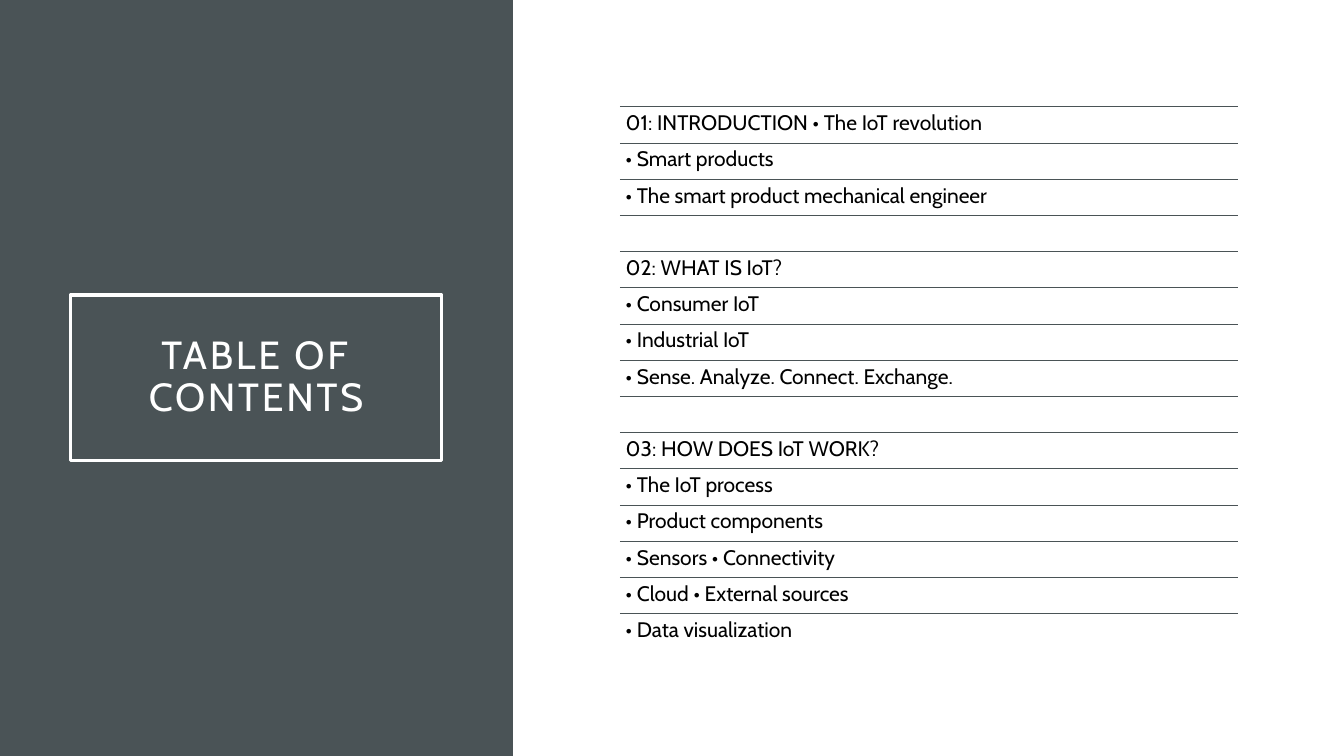
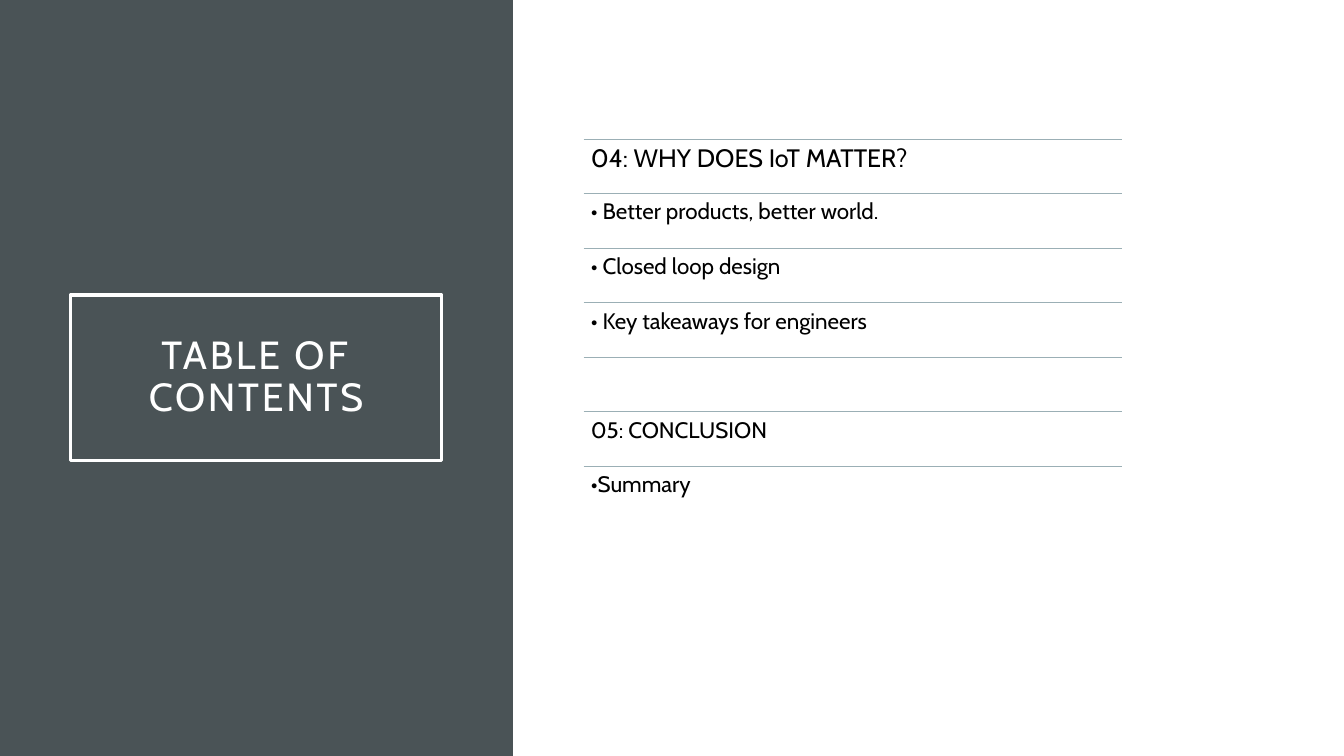
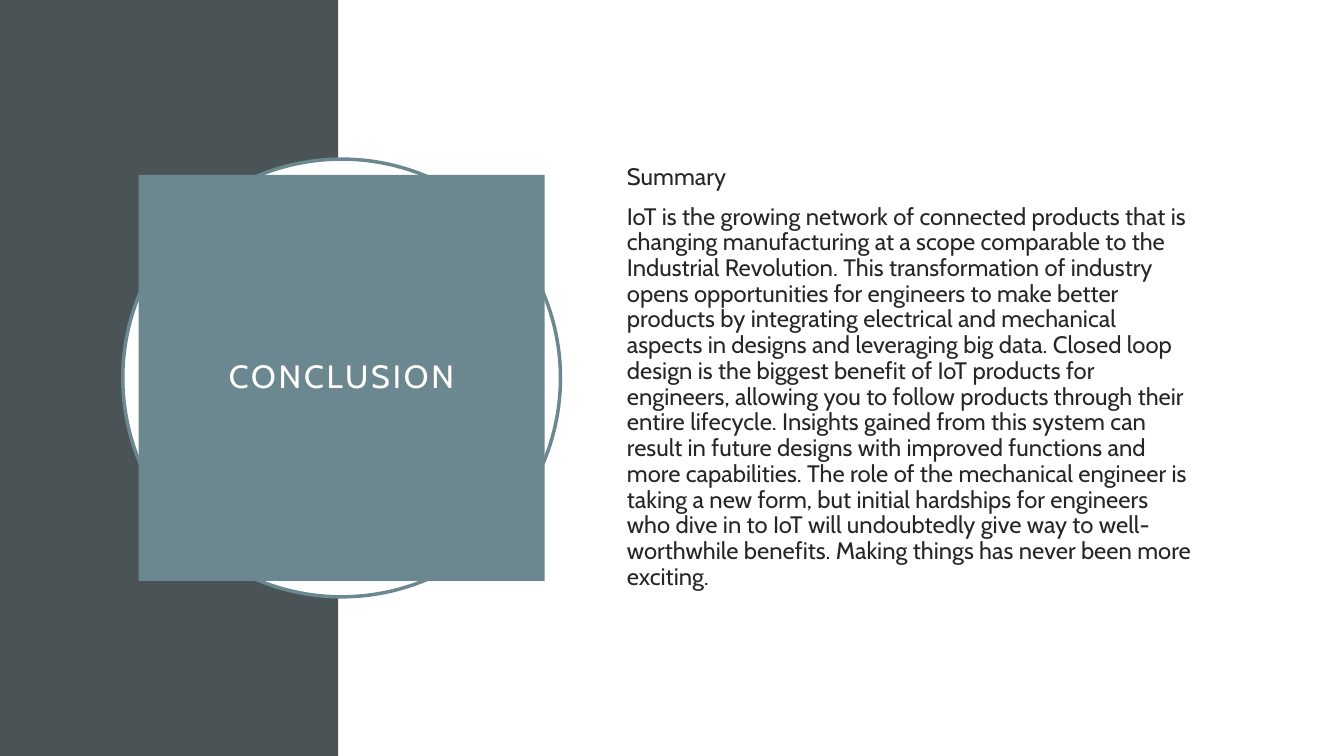
from lxml import etree
from pptx import Presentation
from pptx.dml.color import RGBColor
from pptx.enum.shapes import MSO_CONNECTOR, MSO_SHAPE
from pptx.enum.text import MSO_ANCHOR, PP_ALIGN
from pptx.oxml.ns import qn
from pptx.util import Cm, Pt

RECT, OVAL = MSO_SHAPE.RECTANGLE, MSO_SHAPE.OVAL
LINE = MSO_CONNECTOR.STRAIGHT
TOP, MIDDLE = MSO_ANCHOR.TOP, MSO_ANCHOR.MIDDLE
LEFT, CENTER = PP_ALIGN.LEFT, PP_ALIGN.CENTER

WIDE, HIGH = 33.87, 19.05
FONT = "Cabin"
SLATE, TEAL, MIST = "4A5356", "6B8891", "9BAFB5"
WHITE, BLACK, INK = "FFFFFF", "000000", "262626"

PARTS = [
    "01: INTRODUCTION • The IoT revolution",
    "• Smart products",
    "• The smart product mechanical engineer",
    "",
    "02: WHAT IS IoT?",
    "• Consumer IoT",
    "• Industrial IoT",
    "• Sense. Analyze. Connect. Exchange.",
    "",
    "03: HOW DOES IoT WORK?",
    "• The IoT process",
    "• Product components",
    "• Sensors • Connectivity",
    "• Cloud • External sources",
    "• Data visualization",
]
MORE = [
    "04: WHY DOES IoT MATTER?",
    "• Better products, better world.",
    "• Closed loop design",
    "• Key takeaways for engineers",
    "",
    "05: CONCLUSION",
    "•Summary",
]
SUMMARY = [
    "Summary",
    "IoT is the growing network of connected products that is changing "
    "manufacturing at a scope comparable to the Industrial Revolution. This "
    "transformation of industry opens opportunities for engineers to make "
    "better products by integrating electrical and mechanical aspects in "
    "designs and leveraging big data. Closed loop design is the biggest "
    "benefit of IoT products for engineers, allowing you to follow products "
    "through their entire lifecycle. Insights gained from this system can "
    "result in future designs with improved functions and more capabilities. "
    "The role of the mechanical engineer is taking a new form, but initial "
    "hardships for engineers who dive in to IoT will undoubtedly give way to "
    "well-worthwhile benefits. Making things has never been more exciting.",
]


def tint(target, color):
    """Give a fill, or a font or line colour, a hex value."""
    target.rgb = RGBColor.from_string(color)


def apply(target, values):
    """Set each named attribute of the target."""
    for name, value in values.items():
        setattr(target, name, value)


def shape(slide, kind, box, fill=None, edge=None):
    """Add a flat preset shape in a box given in centimetres."""
    item = slide.shapes.add_shape(kind, *map(Cm, box))
    item.shadow.inherit = False
    if fill:
        item.fill.solid()
        tint(item.fill.fore_color, fill)
    else:
        item.fill.background()
    if edge:
        tint(item.line.color, edge)
        item.line.width = Pt(2.5)
    else:
        item.line.fill.background()
    return item


def write(item, texts, size, color, inset, anchor=TOP, align=LEFT, track=0):
    """Fill a shape or text box with styled paragraphs."""
    frame = item.text_frame
    sides = dict.fromkeys(("margin_left", "margin_right"), Cm(inset[0]))
    ends = dict.fromkeys(("margin_top", "margin_bottom"), Cm(inset[1]))
    apply(frame, {"word_wrap": True, "vertical_anchor": anchor, **sides, **ends})
    for row, text in enumerate(texts):
        para = frame.add_paragraph() if row else frame.paragraphs[0]
        apply(para, {"alignment": align, "line_spacing": 0.9,
                     "space_before": Pt(10 if row else 0)})
        run = para.add_run()
        run.text = text
        apply(run.font, {"name": FONT, "size": Pt(size)})
        tint(run.font.color, color)
        if track:
            run.font._element.set("spc", str(track * 100))


def rule(slide, left, top, width, color):
    """Draw a thin level line."""
    item = slide.shapes.add_connector(
        LINE, Cm(left), Cm(top), Cm(left + width), Cm(top))
    tint(item.line.color, color)
    item.line.width = Pt(0.5)
    etree.SubElement(item._element.spPr, qn("a:effectLst"))


def title(slide, kind, box, text, size, **paint):
    """Add a centred, spaced-out title in a shape."""
    item = shape(slide, kind, box, **paint)
    write(item, [text], size, WHITE, (0.51, 0.51), MIDDLE, CENTER, 2)


def rows(slide, box, texts, sizes, color, inset):
    """Stack ruled lines of text at equal steps in a box."""
    left, top, width, height = box
    step = height / len(texts)
    for row, text in enumerate(texts):
        y = top + row * step
        rule(slide, left, y, width, color)
        if text:
            item = slide.shapes.add_textbox(*map(Cm, (left, y, width, step)))
            size = sizes[0] if row == 0 else sizes[1]
            write(item, [text], size, BLACK, (inset, inset))


def contents(slide, box, *args):
    """Build a contents slide: titled side band and ruled rows."""
    shape(slide, RECT, (0, 0, 12.93, HIGH), SLATE)
    title(slide, RECT, (1.78, 7.44, 9.35, 4.17), "TABLE OF CONTENTS", 28,
          edge=WHITE)
    rows(slide, box, *args)


def closing(slide, split):
    """Build the closing slide around the edge of its side band."""
    shape(slide, RECT, (0, 0, split, HIGH), SLATE)
    shape(slide, RECT, (split, 0, WIDE - split, HIGH), WHITE)
    mid, ring, card = split + 0.08, 11.03, 10.23
    shape(slide, OVAL, (mid - ring / 2, (HIGH - ring) / 2, ring, ring),
          WHITE, TEAL)
    title(slide, RECT, (mid - card / 2, (HIGH - card) / 2, card, card),
          "CONCLUSION", 23, fill=TEAL)
    box = (split + 7.02, 3.89, 14.78, 11.25)
    item = slide.shapes.add_textbox(*map(Cm, box))
    write(item, SUMMARY, 17, INK, (0.25, 0.13), MIDDLE)


def main():
    """Build and save the deck."""
    deck = Presentation()
    apply(deck, {"slide_width": Cm(WIDE), "slide_height": Cm(HIGH)})
    first, second, last = (
        deck.slides.add_slide(deck.slide_layouts[6]) for _ in range(3))
    contents(first, (15.62, 2.69, 15.57, 13.68), PARTS, (15, 15), SLATE, 0.15)
    contents(second, (14.71, 3.5, 13.57, 9.63), MORE, (18, 16), MIST, 0.18)
    closing(last, 8.53)
    deck.save("out.pptx")


if __name__ == "__main__":
    main()
